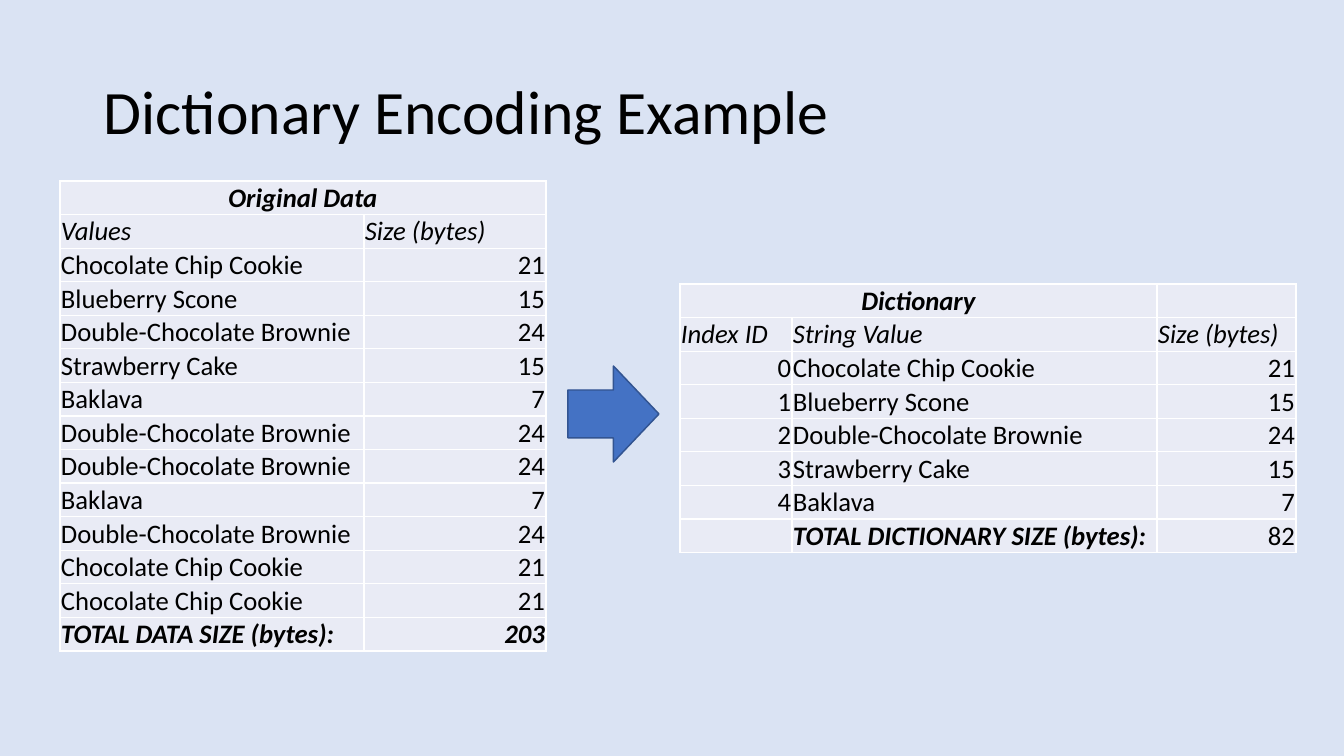
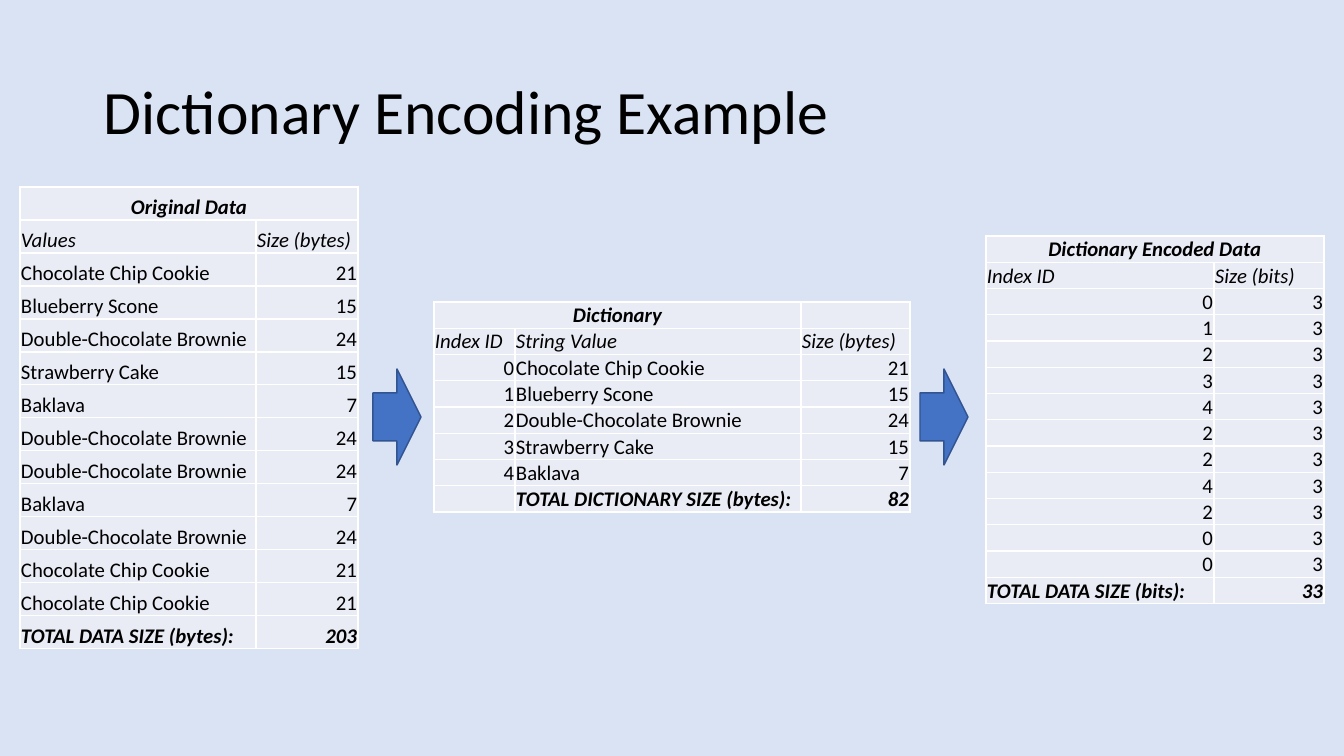
import lxml.etree
import pptx
import pptx.dml.color
import pptx.enum.shapes
import pptx.enum.text
import pptx.oxml.ns
import pptx.util

PX = 8570  # EMU per px
SLIDE_W, SLIDE_H = 1344, 756
FONT = "Calibri"

BACKGROUND = pptx.dml.color.RGBColor(0xDA, 0xE3, 0xF3)
CELL_FILL = pptx.dml.color.RGBColor(0xE9, 0xEB, 0xF5)
BORDER = pptx.dml.color.RGBColor(0xFF, 0xFF, 0xFF)
TEXT = pptx.dml.color.RGBColor(0x00, 0x00, 0x00)
ARROW_FILL = pptx.dml.color.RGBColor(0x44, 0x72, 0xC4)
ARROW_LINE = pptx.dml.color.RGBColor(0x32, 0x54, 0x91)

ALIGN = pptx.enum.text.PP_ALIGN
ANCHOR = pptx.enum.text.MSO_ANCHOR

DICTIONARY = [
    ("Chocolate Chip Cookie", 21),
    ("Blueberry Scone", 15),
    ("Double-Chocolate Brownie", 24),
    ("Strawberry Cake", 15),
    ("Baklava", 7),
]
ENCODED_IDS = [0, 1, 2, 3, 4, 2, 2, 4, 2, 0, 0]
BITS_PER_ID = 3


def px(n):
    return pptx.util.Emu(n * PX)


def with_total(title, header, body, label):
    """Return table rows: title, header, body and the sum of the last column."""
    width = len(header)
    total = [""] * (width - 2) + [label, sum(row[-1] for row in body)]
    return [[title] + [""] * (width - 1), header, *body, total]


ORIGINAL_ROWS = with_total(
    "Original Data", ["Values", "Size (bytes)"],
    [DICTIONARY[i] for i in ENCODED_IDS], "TOTAL DATA SIZE (bytes):")
DICTIONARY_ROWS = with_total(
    "Dictionary", ["Index ID", "String Value", "Size (bytes)"],
    [(i, *entry) for i, entry in enumerate(DICTIONARY)],
    "TOTAL DICTIONARY SIZE (bytes):")
ENCODED_ROWS = with_total(
    "Dictionary Encoded Data", ["Index ID", "Size (bits)"],
    [(i, BITS_PER_ID) for i in ENCODED_IDS], "TOTAL DATA SIZE (bits):")


def add_titled_slide(prs, title):
    slide = prs.slides.add_slide(prs.slide_layouts[5])
    sp = slide.shapes.title
    sp.left, sp.top, sp.width, sp.height = map(px, (93, 41, 1160, 146))
    tf = sp.text_frame
    tf.text = title
    tf.auto_size = pptx.enum.text.MSO_AUTO_SIZE.NONE
    tf.vertical_anchor = ANCHOR.MIDDLE
    p = tf.paragraphs[0]
    p.alignment = ALIGN.LEFT
    p.line_spacing = 0.9
    font = p.runs[0].font
    font.name, font.size = FONT, pptx.util.Pt(41.6)
    font.color.rgb = TEXT
    return slide


def add_borders(cell):
    tc_pr = cell._tc.get_or_add_tcPr()
    qn = pptx.oxml.ns.qn
    for side in ("a:lnL", "a:lnR", "a:lnT", "a:lnB"):
        ln = lxml.etree.SubElement(tc_pr, qn(side), w=str(pptx.util.Pt(1)))
        fill = lxml.etree.SubElement(ln, qn("a:solidFill"))
        lxml.etree.SubElement(fill, qn("a:srgbClr"), val=str(BORDER))


def format_cell(cell, value, size, bold, italic, align):
    add_borders(cell)
    cell.fill.solid()
    cell.fill.fore_color.rgb = CELL_FILL
    cell.vertical_anchor = ANCHOR.BOTTOM
    cell.margin_left = cell.margin_top = cell.margin_right = px(1)
    cell.margin_bottom = 0
    p = cell.text_frame.paragraphs[0]
    p.text = str(value)
    p.alignment = align
    for r in p.runs:
        font = r.font
        font.name, font.size = FONT, pptx.util.Pt(size)
        font.bold, font.italic = bold, italic
        font.color.rgb = TEXT
    if not p.runs:  # keeps an empty cell from stretching its row
        lxml.etree.SubElement(
            p._p, pptx.oxml.ns.qn("a:endParaRPr"), sz=str(size * 100))


def add_data_table(slide, left, top, col_widths, row_height, size, rows,
                   emphasize_total=True):
    frame = slide.shapes.add_table(
        len(rows), len(col_widths), px(left), px(top),
        px(sum(col_widths)), px(row_height * len(rows)))
    table = frame.table
    table.first_row = table.horz_banding = False
    for column, width in zip(table.columns, col_widths):
        column.width = px(width)
    last = len(rows) - 1
    for i, row in enumerate(rows):
        table.rows[i].height = px(row_height)
        for j, value in enumerate(row):
            number = isinstance(value, int)
            strong = i == 0 or (
                i == last and (emphasize_total or not number))
            align = (ALIGN.CENTER if i == 0
                     else ALIGN.RIGHT if number else ALIGN.LEFT)
            format_cell(table.cell(i, j), value, size,
                        strong, strong or i == 1, align)
    table.cell(0, 0).merge(table.cell(0, 1))


def add_arrow(slide, left, top, width, height):
    sp = slide.shapes.add_shape(
        pptx.enum.shapes.MSO_SHAPE.RIGHT_ARROW,
        px(left), px(top), px(width), px(height))
    sp.shadow.inherit = False
    sp.fill.solid()
    sp.fill.fore_color.rgb = ARROW_FILL
    sp.line.color.rgb = ARROW_LINE
    sp.line.width = pptx.util.Pt(1)


def build_dictionary_slide(prs, title):
    slide = add_titled_slide(prs, title)
    add_data_table(slide, 60, 181, (304, 182), 33, 18, ORIGINAL_ROWS)
    add_data_table(slide, 680, 284, (112, 365, 139), 33, 18, DICTIONARY_ROWS,
                   emphasize_total=False)
    add_arrow(slide, 568, 366, 91, 96)


def build_encoded_slide(prs, title):
    slide = add_titled_slide(prs, title)
    add_data_table(slide, 20, 187, (236, 102), 33, 14, ORIGINAL_ROWS)
    add_data_table(slide, 434, 302, (81, 286, 109), 26, 14, DICTIONARY_ROWS)
    add_data_table(slide, 986, 236, (228, 110), 26, 14, ENCODED_ROWS)
    for left in (373, 920):
        add_arrow(slide, left, 369, 48, 96)


def main():
    prs = pptx.Presentation()
    prs.slide_width, prs.slide_height = px(SLIDE_W), px(SLIDE_H)
    background = prs.slide_master.background.fill
    background.solid()
    background.fore_color.rgb = BACKGROUND
    title = "Dictionary Encoding Example"
    build_dictionary_slide(prs, title)
    build_encoded_slide(prs, title)
    prs.save("out.pptx")


if __name__ == "__main__":
    main()
